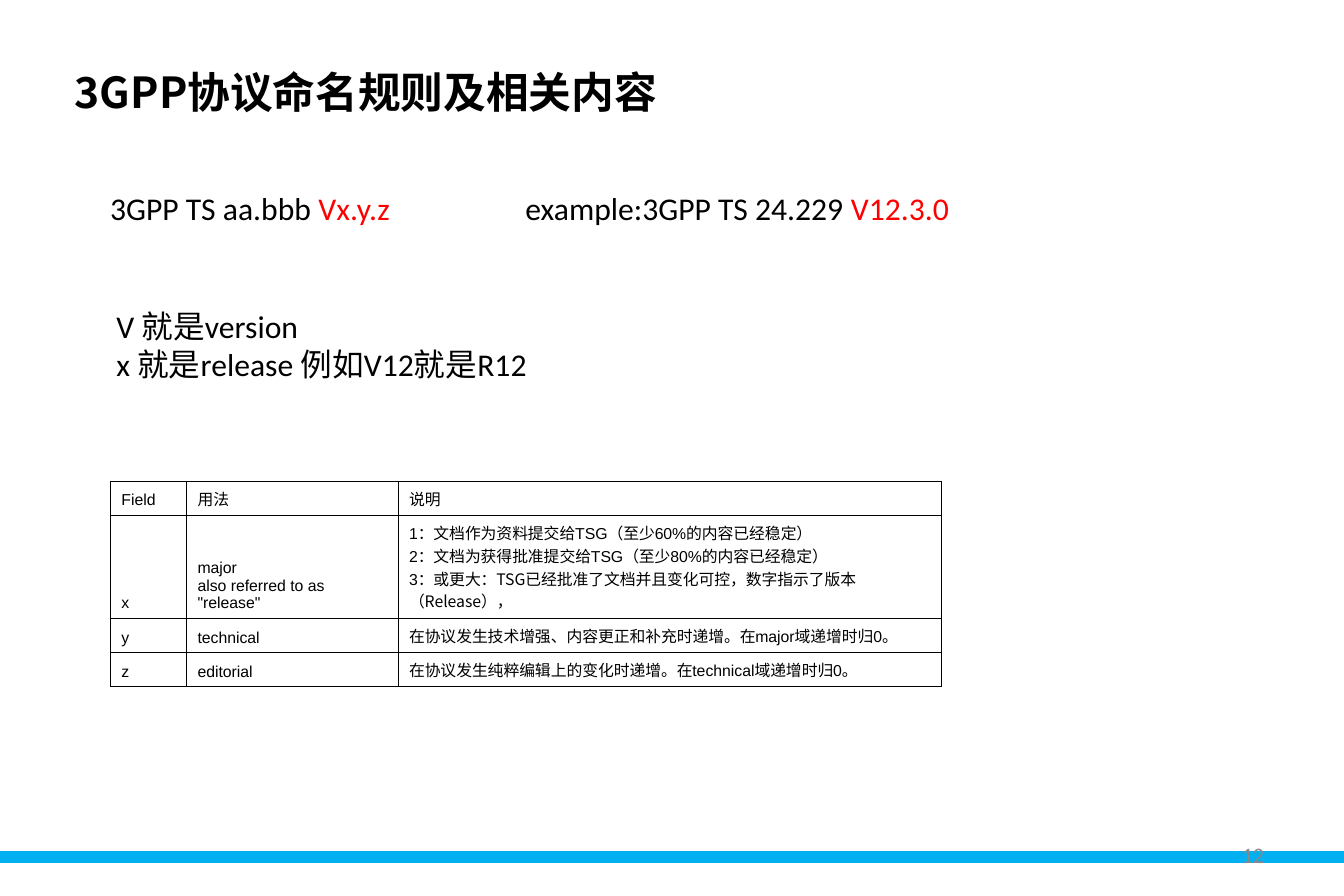
from lxml import etree
from pptx import Presentation
from pptx.dml.color import RGBColor
from pptx.enum.shapes import MSO_SHAPE
from pptx.enum.text import MSO_ANCHOR, PP_ALIGN
from pptx.oxml.ns import qn
from pptx.util import Cm, Pt

RECT = MSO_SHAPE.RECTANGLE
TOP, MID, LOW = MSO_ANCHOR.TOP, MSO_ANCHOR.MIDDLE, MSO_ANCHOR.BOTTOM
LEFT, RIGHT = PP_ALIGN.LEFT, PP_ALIGN.RIGHT
BLACK = RGBColor(0x00, 0x00, 0x00)
RED = RGBColor(0xFF, 0x00, 0x00)
GREY = RGBColor(0x89, 0x89, 0x89)
BLUE = RGBColor(0x00, 0xB0, 0xF0)
LATIN, SANS, HAN = "Calibri", "Arial", "Noto Sans CJK SC"

GRID = [
    [["Field"], ["用法"], ["说明"]],
    [["x"], ["major", "\n", 'also referred to as "release"'],
     ["1", "：文档作为资料提交给", "TSG", "（至少", "60%", "的内容已经稳定）", "\n",
      "2", "：文档为获得批准提交给", "TSG", "（至少", "80%", "的内容已经稳定）", "\n",
      "3", "：或更大：TSG已经批准了文档并且变化可控，数字指示了版本（Release），"]],
    [["y"], ["technical"],
     ["在协议发生技术增强、内容更正和补充时递增。在", "major", "域递增时归", "0", "。"]],
    [["z"], ["editorial"],
     ["在协议发生纯粹编辑上的变化时递增。在", "technical", "域递增时归", "0", "。"]],
]


class Page:
    """Holds the slide and draws each kind of element on it."""

    def __init__(self, slide):
        self.slide = slide

    def run(self, para, text, size, font=LATIN, color=BLACK, bold=False):
        run = para.add_run()
        run.text = text
        run.font.size = Pt(size)
        run.font.bold = bold
        run.font.color.rgb = color
        run.font.name = font
        etree.SubElement(run.font._element, qn("a:ea"), typeface=HAN)

    def bar(self, x, y, w, h, color):
        bar = self.slide.shapes.add_shape(RECT, Cm(x), Cm(y), Cm(w), Cm(h))
        bar.shadow.inherit = False
        bar.fill.solid()
        bar.fill.fore_color.rgb = color
        bar.line.fill.background()

    def text(self, x, y, w, h, lines, size, font=LATIN, bold=False,
             anchor=TOP, align=LEFT, pad=(0.25, 0.13), space=1.0, tab=None):
        box = self.slide.shapes.add_textbox(Cm(x), Cm(y), Cm(w), Cm(h))
        frame = box.text_frame
        frame.word_wrap = True
        frame.vertical_anchor = anchor
        frame.margin_left = frame.margin_right = Cm(pad[0])
        frame.margin_top = frame.margin_bottom = Cm(pad[1])
        for i, line in enumerate(lines):
            para = frame.add_paragraph() if i else frame.paragraphs[0]
            if tab:
                tabs = etree.SubElement(para._p.get_or_add_pPr(), qn("a:tabLst"))
                etree.SubElement(tabs, qn("a:tab"), pos=str(Cm(tab)), algn="l")
            para.alignment = align
            para.line_spacing = space
            for words, color in line:
                self.run(para, words, size, font, color, bold)

    def edge(self, cell):
        props = cell._tc.get_or_add_tcPr()
        for i, side in enumerate(("lnL", "lnR", "lnT", "lnB")):
            line = etree.Element(qn("a:" + side), w=str(Pt(0.45)))
            fill = etree.SubElement(line, qn("a:solidFill"))
            etree.SubElement(fill, qn("a:srgbClr"), val=str(BLACK))
            props.insert(i, line)

    def table(self, x, y, cols, rows, grid, size):
        table = self.slide.shapes.add_table(
            len(rows), len(cols), Cm(x), Cm(y), Cm(sum(cols)), Cm(sum(rows))).table
        table.first_row = table.horz_banding = False
        for col, wide in zip(table.columns, cols):
            col.width = Cm(wide)
        for row, high, cells in zip(table.rows, rows, grid):
            row.height = Cm(high)
            for cell, parts in zip(row.cells, cells):
                self.cell(cell, parts, size)

    def cell(self, cell, parts, size):
        cell.fill.background()
        self.edge(cell)
        cell.vertical_anchor = LOW
        cell.margin_left = cell.margin_right = Cm(0.25)
        cell.margin_top = cell.margin_bottom = Cm(0.13)
        para = cell.text_frame.paragraphs[0]
        for part in parts:
            if part == "\n":
                para.add_line_break()
            else:
                self.run(para, part, size, SANS if part.isascii() else HAN)


def main():
    deck = Presentation()
    deck.slide_width, deck.slide_height = Cm(30), Cm(20)
    page = Page(deck.slides.add_slide(deck.slide_layouts[6]))
    wide = (0.28, 0.15)
    page.bar(0, 19, 30, 0.26, BLUE)
    page.text(21.5, 18.54, 7, 1.07, [[("12", GREY)]], 14,
              anchor=MID, align=RIGHT, pad=wide)
    page.text(1.39, 1.25, 27, 1.58, [[("3GPP协议命名规则及相关内容", BLACK)]], 27,
              font=HAN, bold=True, anchor=MID, pad=wide)
    page.table(2.46, 10.74, (1.7, 4.72, 12.14), (0.76, 2.3, 0.76, 0.76), GRID, 10)
    page.text(2.21, 3.66, 19.5, 1.52,
              [[("3GPP TS aa.bbb ", BLACK), ("Vx.y.z", RED),
                ("\texample:3GPP TS 24.229 ", BLACK), ("V12.3.0", RED)]],
              20, space=1.5, tab=9.27)
    page.text(2.35, 6.72, 15, 1.96,
              [[("V 就是version", BLACK)],
               [("x 就是release 例如V12就是R12", BLACK)]], 20)
    deck.save("out.pptx")


if __name__ == "__main__":
    main()
